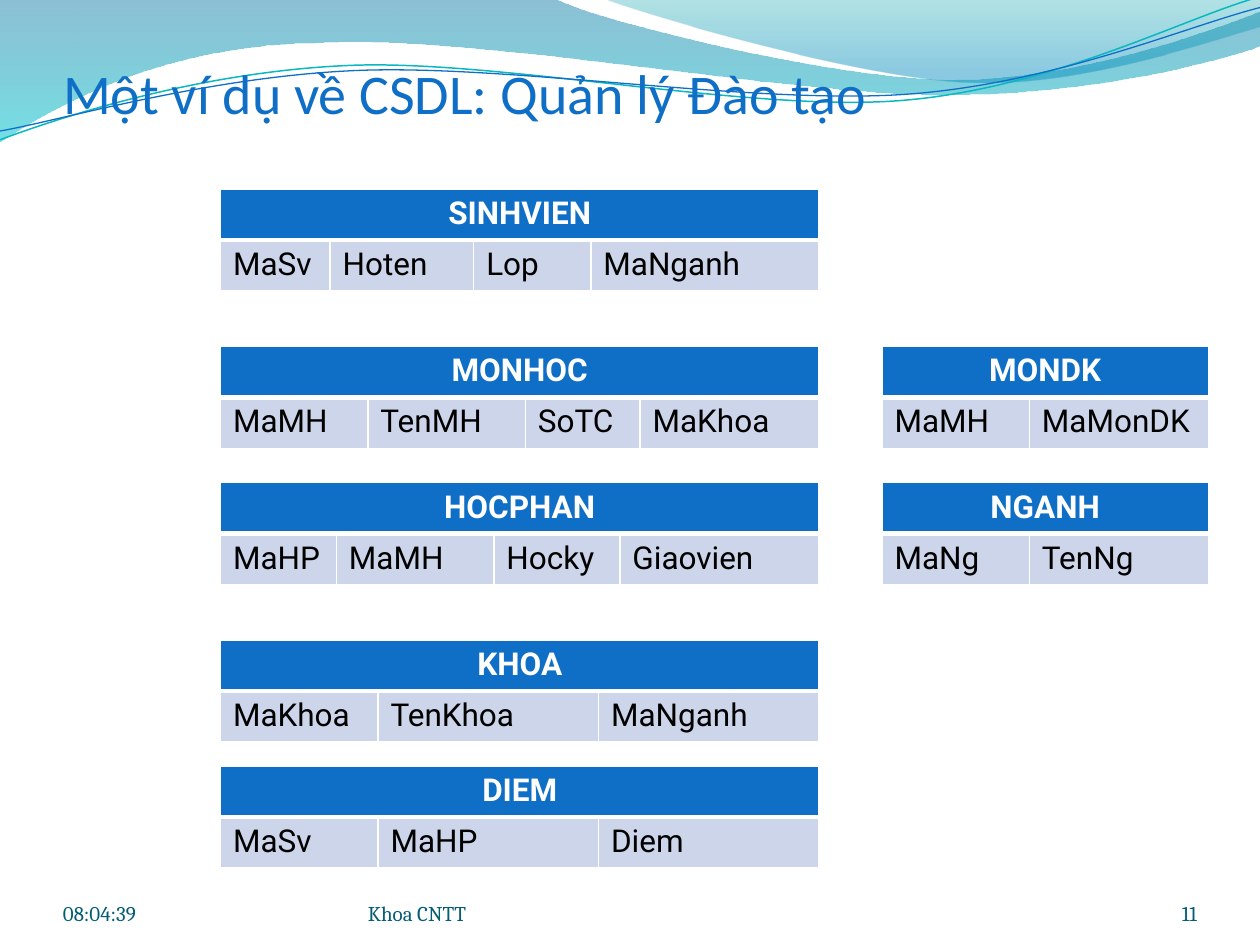
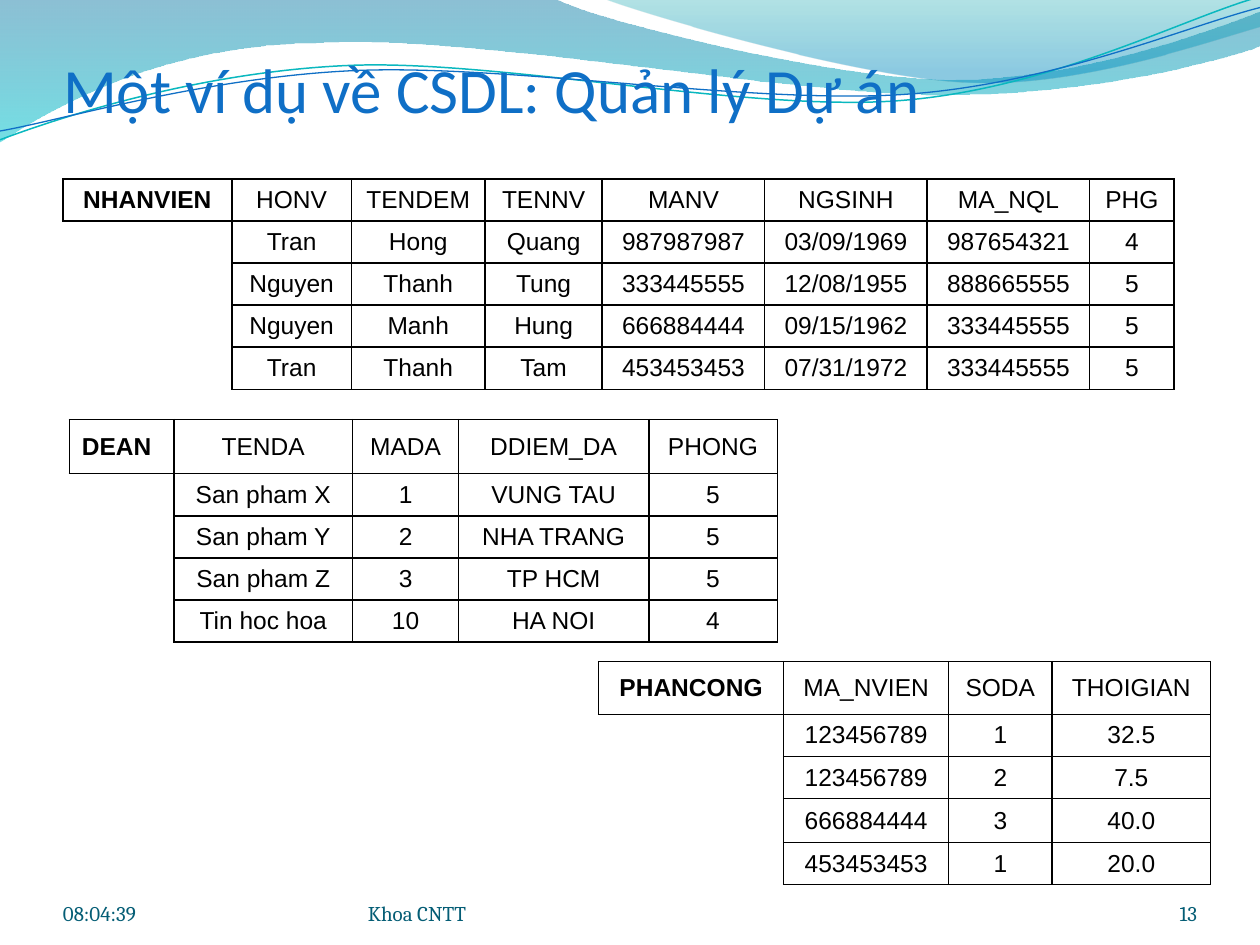
"""Build two slides of example database schemas: training and project management."""
import lxml.etree
import pptx
import pptx.dml.color
import pptx.enum.text
import pptx.oxml.ns
import pptx.util

Inches = pptx.util.Inches
Pt = pptx.util.Pt
ALIGN = pptx.enum.text.PP_ALIGN
ANCHOR = pptx.enum.text.MSO_ANCHOR
qn = pptx.oxml.ns.qn
rgb = pptx.dml.color.RGBColor.from_string

BLUE, TEAL, FOOTER = "0F6FC6", "0AB8BF", "045D75"
WHITE, BLACK, PALE = "FFFFFF", "000000", "CCD5EA"
NO_STYLE = "{2D5ABB26-0587-4C30-8999-92F81FD0307C}"


def style_text(tf, text, size, font, color, align, anchor, bold=False):
    """Set the text of a one-paragraph frame and format it."""
    tf.text = text
    tf.vertical_anchor = anchor
    p = tf.paragraphs[0]
    p.alignment = align
    for r in p.runs:
        r.font.size = Pt(size)
        r.font.name = font
        r.font.bold = bold
        r.font.color.rgb = rgb(color)


def set_borders(cell, color, widths):
    """Draw the cell edges named in widths (L, R, T, B to points) and hide the others."""
    tcPr = cell._tc.get_or_add_tcPr()
    for edge in "LRTB":
        ln = lxml.etree.SubElement(tcPr, qn("a:ln" + edge), w=str(Pt(widths.get(edge, 0))))
        if edge in widths:
            fill = lxml.etree.SubElement(ln, qn("a:solidFill"))
            lxml.etree.SubElement(fill, qn("a:srgbClr"), val=color)
        else:
            lxml.etree.SubElement(ln, qn("a:noFill"))


prs = pptx.Presentation()
prs.slide_width = Inches(10)
prs.slide_height = Inches(7.5)
layout = prs.slide_layouts[5]

titles = [
    ("Một ví dụ về CSDL: Quản lý Đào tạo", 32, "11"),
    ("Một ví dụ về CSDL: Quản lý Dự án", 36, "13"),
]
for title, size, number in titles:
    s = prs.slides.add_slide(layout)
    sp = s.shapes.title
    sp.left, sp.top, sp.width, sp.height = Inches(0.5), Inches(0.33), Inches(9), Inches(0.67)
    tf = sp.text_frame
    tf.auto_size = pptx.enum.text.MSO_AUTO_SIZE.NONE
    tf.margin_left = tf.margin_right = tf.margin_bottom = 0
    tf.margin_top = Inches(0.05)
    style_text(tf, title, size, "Calibri", BLUE, ALIGN.LEFT, ANCHOR.BOTTOM)

    footers = [
        ("08:04:39", 0.5, 2.33, ALIGN.LEFT),
        ("Khoa CNTT", 2.92, 3.67, ALIGN.LEFT),
        (number, 8.67, 0.83, ALIGN.RIGHT),
    ]
    for text, left, width, align in footers:
        tf = s.shapes.add_textbox(Inches(left), Inches(6.95), Inches(width), Inches(0.4)).text_frame
        tf.word_wrap = True
        tf.margin_left = tf.margin_right = tf.margin_top = tf.margin_bottom = 0
        style_text(tf, text, 12, "Cambria", FOOTER, align, ANCHOR.BOTTOM)

waves = [
    ([(0, -0.01), (4.4, -0.01), (4.76, 0.17, 6.64, 0.63, 7.58, 0.63),
      (8.53, 0.63, 9.58, 0.26, 10, 0.09), (10.01, 0.36), (9.83, 0.44, 8.7, 0.76, 7.46, 0.75),
      (6.22, 0.75, 3.82, 0.28, 2.57, 0.34), (1.29, 0.35, 0.46, 0.83, -0.01, 1.13)],
     [(0, "0074A1", 45), (1, "00C6CF", 55)], None),
    ([(4.79, -0.01), (5.09, 0.11, 6.82, 0.62, 7.69, 0.65), (8.56, 0.69, 9.61, 0.32, 10, 0.21),
      (10, 0)], [(0, "00A1A9", 30), (0.8, "008BBF", 45)], None),
    ([(0, 1.11), (0.48, 0.93, 1.58, 0.57, 2.77, 0.52), (3.95, 0.47, 5.93, 0.89, 7.13, 0.8),
      (8.33, 0.71, 9.38, 0.15, 9.98, -0.02)], None, (TEAL, 0.85)),
    ([(0, 1.04), (0.47, 0.96, 1.64, 0.61, 2.83, 0.56), (4.03, 0.51, 5.97, 0.83, 7.17, 0.75),
      (8.36, 0.67, 9.41, 0.21, 10, 0.06)], None, (BLUE, 0.75)),
]
for i, (steps, stops, line) in enumerate(waves):
    points = [(Inches(step[k]), Inches(step[k + 1])) for step in steps for k in range(0, len(step), 2)]
    builder = prs.slides[0].shapes.build_freeform(*points[0])
    builder.add_line_segments(points[1:], close=line is None)
    sp = builder.convert_to_shape()
    segments = iter(list(sp._element.iter(qn("a:lnTo"))))
    for step in steps[1:]:
        segment = next(segments)
        if len(step) == 6:
            curve = lxml.etree.Element(qn("a:cubicBezTo"))
            segment.addprevious(curve)
            for control in (segment, next(segments), next(segments)):
                curve.append(control[0])
                control.getparent().remove(control)
    sp.shadow.inherit = False
    if line:
        sp.fill.background()
        sp.line.color.rgb = rgb(line[0])
        sp.line.width = Pt(line[1])
    else:
        sp.line.fill.background()
        sp.fill.gradient()
        sp.fill.gradient_angle = 270
        for stop, (position, color, opacity) in zip(sp.fill.gradient_stops, stops):
            stop.position = position
            stop.color.rgb = rgb(color)
        for clr, (position, color, opacity) in zip(sp._element.iter(qn("a:srgbClr")), stops):
            lxml.etree.SubElement(clr, qn("a:alpha"), val=str(opacity * 1000))
    sp._element.nvSpPr.cNvPr.set("id", str(20 + i))
    layout.shapes._spTree.append(sp._element)

relations = [
    ("SINHVIEN", 1.75, 1.5, [("MaSv", 0.87), ("Hoten", 1.14), ("Lop", 0.93), ("MaNganh", 1.81)]),
    ("MONHOC", 1.75, 2.75, [("MaMH", 1.17), ("TenMH", 1.25), ("SoTC", 0.91), ("MaKhoa", 1.42)]),
    ("HOCPHAN", 1.75, 3.83, [("MaHP", 0.92), ("MaMH", 1.25), ("Hocky", 1), ("Giaovien", 1.58)]),
    ("KHOA", 1.75, 5.08, [("MaKhoa", 1.25), ("TenKhoa", 1.75), ("MaNganh", 1.75)]),
    ("DIEM", 1.75, 6.08, [("MaSv", 1.25), ("MaHP", 1.75), ("Diem", 1.75)]),
    ("MONDK", 7, 2.75, [("MaMH", 1.17), ("MaMonDK", 1.42)]),
    ("NGANH", 7, 3.83, [("MaNg", 1.17), ("TenNg", 1.42)]),
]
for name, left, top, fields in relations:
    width = sum(w for field, w in fields)
    tbl = prs.slides[0].shapes.add_table(
        2, len(fields), Inches(left), Inches(top), Inches(width), Inches(0.81)).table
    tbl._tbl.tblPr.find(qn("a:tableStyleId")).text = NO_STYLE
    tbl.cell(0, 0).merge(tbl.cell(0, len(fields) - 1))
    style_text(tbl.cell(0, 0).text_frame, name, 18, "Roboto", WHITE, ALIGN.CENTER, ANCHOR.TOP, True)
    for c, (field, w) in enumerate(fields):
        tbl.columns[c].width = Inches(w)
        style_text(tbl.cell(1, c).text_frame, field, 18, "Roboto", BLACK, ALIGN.LEFT, ANCHOR.TOP)
        set_borders(tbl.cell(0, c), WHITE, {"L": 1, "R": 1, "T": 1, "B": 3})
        set_borders(tbl.cell(1, c), WHITE, {"L": 1, "R": 1, "T": 3, "B": 1})
        for row, color in enumerate((BLUE, PALE)):
            tbl.cell(row, c).fill.solid()
            tbl.cell(row, c).fill.fore_color.rgb = rgb(color)

datasets = [
    (4.75, 5.25, [1.47, 1.31, 0.82, 1.26], [0.42, 0.33, 0.32, 0.35, 0.32], [
        ["PHANCONG", "MA_NVIEN", "SODA", "THOIGIAN"],
        ["", "123456789", "1", "32.5"],
        ["", "123456789", "2", "7.5"],
        ["", "666884444", "3", "40.0"],
        ["", "453453453", "1", "20.0"]]),
    (0.55, 3.33, [0.83, 1.42, 0.84, 1.51, 1.02], [0.43, 0.33, 0.32, 0.32, 0.32], [
        ["DEAN", "TENDA", "MADA", "DDIEM_DA", "PHONG"],
        ["", "San pham X", "1", "VUNG TAU", "5"],
        ["", "San pham Y", "2", "NHA TRANG", "5"],
        ["", "San pham Z", "3", "TP HCM", "5"],
        ["", "Tin hoc hoa", "10", "HA NOI", "4"]]),
    (0.5, 1.42, [1.34, 0.95, 1.06, 0.93, 1.29, 1.29, 1.29, 0.67], [0.32] * 5, [
        ["NHANVIEN", "HONV", "TENDEM", "TENNV", "MANV", "NGSINH", "MA_NQL", "PHG"],
        ["", "Tran", "Hong", "Quang", "987987987", "03/09/1969", "987654321", "4"],
        ["", "Nguyen", "Thanh", "Tung", "333445555", "12/08/1955", "888665555", "5"],
        ["", "Nguyen", "Manh", "Hung", "666884444", "09/15/1962", "333445555", "5"],
        ["", "Tran", "Thanh", "Tam", "453453453", "07/31/1972", "333445555", "5"]]),
]
for left, top, widths, heights, rows in datasets:
    tbl = prs.slides[1].shapes.add_table(
        len(rows), len(widths), Inches(left), Inches(top),
        Inches(sum(widths)), Inches(sum(heights))).table
    tbl._tbl.tblPr.find(qn("a:tableStyleId")).text = NO_STYLE
    for c, width in enumerate(widths):
        tbl.columns[c].width = Inches(width)
    for r, values in enumerate(rows):
        tbl.rows[r].height = Inches(heights[r])
        for c, value in enumerate(values):
            cell = tbl.cell(r, c)
            if value:
                align = ALIGN.JUSTIFY if value == "DEAN" else ALIGN.CENTER
                style_text(cell.text_frame, value, 14, "Arial", BLACK, align, ANCHOR.MIDDLE, c == 0)
                cell.vertical_anchor = ANCHOR.MIDDLE
                edges = "LRTB"
            else:
                p = cell.text_frame.paragraphs[0]
                end = lxml.etree.SubElement(p._p, qn("a:endParaRPr"), sz="1400")
                lxml.etree.SubElement(end, qn("a:latin"), typeface="Arial")
                edges = "RT" if r == 1 else "R"
            set_borders(cell, BLACK, dict.fromkeys(edges, 1))
            cell.fill.background()

prs.save("out.pptx")
